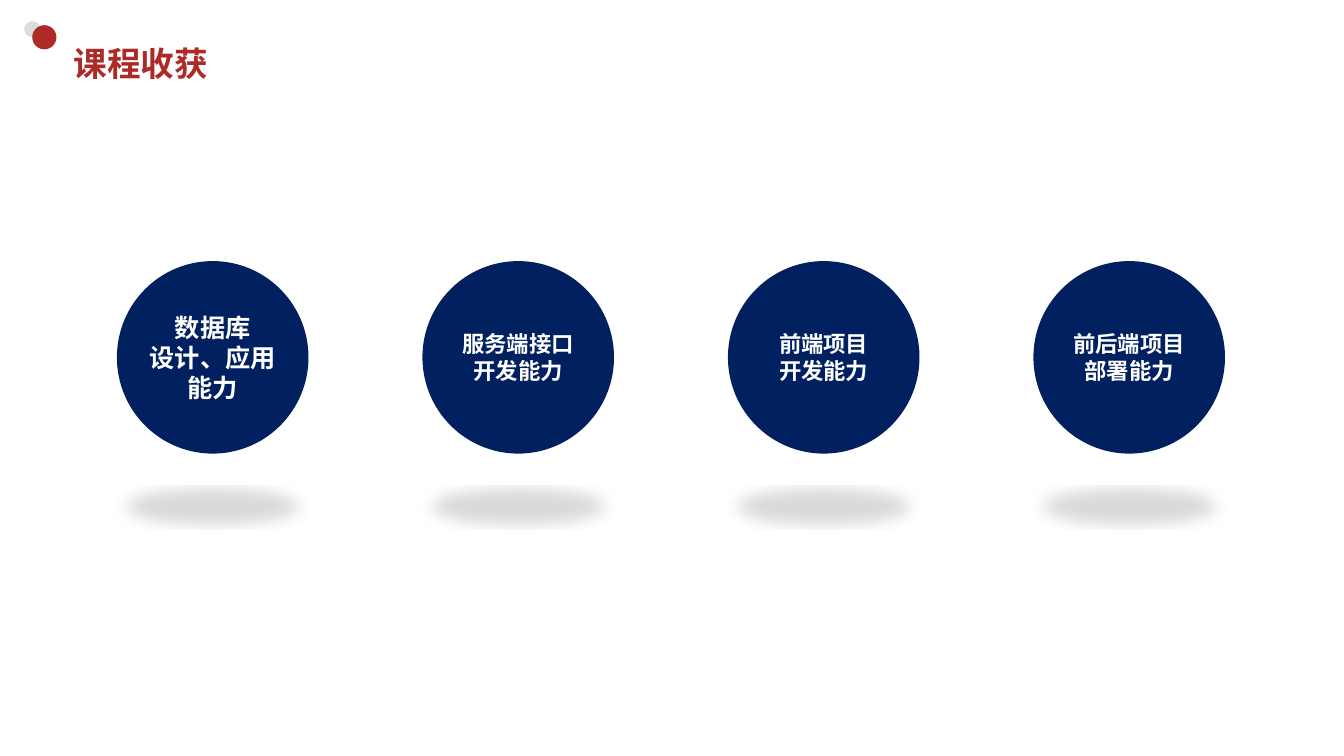
from dataclasses import dataclass

from lxml import etree
from pptx import Presentation
from pptx.dml.color import RGBColor
from pptx.enum.shapes import MSO_SHAPE
from pptx.enum.text import MSO_ANCHOR, MSO_AUTO_SIZE, PP_ALIGN
from pptx.oxml.ns import qn
from pptx.shapes.autoshape import Shape
from pptx.slide import Slide
from pptx.text.text import TextFrame
from pptx.util import Inches, Pt

OVAL = MSO_SHAPE.OVAL
MIDDLE = MSO_ANCHOR.MIDDLE
NO_FIT = MSO_AUTO_SIZE.NONE
LEFT, CENTER = PP_ALIGN.LEFT, PP_ALIGN.CENTER

SLIDE_W, SLIDE_H = 13.33, 7.5
TITLE_ONLY = 5


@dataclass(frozen=True)
class Theme:
    red: str = "AD2B26"
    gray: str = "DADDDC"
    navy: str = "002060"
    white: str = "FFFFFF"
    shadow: str = "000000"
    title_font: str = "Noto Sans Mono"
    body_font: str = "Open Sans"
    title_size: int = 24
    large_size: int = 18
    label_size: int = 16


@dataclass(frozen=True)
class Grid:
    """Columns of circles, in inches."""
    left: float = 1.16
    top: float = 2.59
    pitch: float = 3.03
    width: float = 1.9
    height: float = 1.91


@dataclass(frozen=True)
class Dot:
    left: float
    top: float
    size: float
    color: str


@dataclass(frozen=True)
class Skill:
    column: int
    lines: tuple[str, ...]
    size: int
    side_inset: float = 0.1


THEME = Theme()
GRID = Grid()
DOTS = (Dot(0.24, 0.21, 0.16, THEME.gray), Dot(0.32, 0.25, 0.24, THEME.red))
SKILLS = (
    Skill(0, ("数据库", "设计、应用能力"), THEME.large_size, 0),
    Skill(1, ("服务端接口开发能力",), THEME.label_size),
    Skill(2, ("前端项目", "开发能力"), THEME.label_size),
    Skill(3, ("前后端项目部署能力",), THEME.label_size),
)


def write(tf: TextFrame, lines: tuple[str, ...], font: str, size: int,
          color: str, align: PP_ALIGN) -> None:
    tf.word_wrap = True
    tf.auto_size = NO_FIT
    tf.vertical_anchor = MIDDLE
    for i, line in enumerate(lines):
        p = tf.paragraphs[0] if i == 0 else tf.add_paragraph()
        p.alignment = align
        r = p.add_run()
        r.text = line
        r.font.name = font
        r.font.size = Pt(size)
        r.font.bold = True
        r.font.color.rgb = RGBColor.from_string(color)
        etree.SubElement(r.font._element, qn("a:ea"), typeface=font)


def add_oval(slide: Slide, left: float, top: float, width: float,
             height: float, color: str) -> Shape:
    sp = slide.shapes.add_shape(OVAL, Inches(left), Inches(top),
                                Inches(width), Inches(height))
    sp.shadow.inherit = False
    sp.fill.solid()
    sp.fill.fore_color.rgb = RGBColor.from_string(color)
    sp.line.fill.background()
    return sp


def add_floor_shadow(sp: Shape) -> None:
    """Cast a flattened shadow below the shape."""
    effects = sp._element.spPr.find(qn("a:effectLst"))
    shadow = etree.SubElement(
        effects, qn("a:outerShdw"), blurRad=str(Pt(12)), dist=str(Pt(25)),
        dir="5400000", sx="90000", sy="-19000", algn="b", rotWithShape="0")
    color = etree.SubElement(shadow, qn("a:srgbClr"), val=THEME.shadow)
    etree.SubElement(color, qn("a:alpha"), val="15000")


def add_title(slide: Slide, text: str) -> None:
    sp = slide.shapes.title
    sp.left, sp.top = Inches(0.63), Inches(0.37)
    sp.width, sp.height = Inches(11.75), Inches(0.52)
    write(sp.text_frame, (text,), THEME.title_font, THEME.title_size,
          THEME.red, LEFT)


def add_skill(slide: Slide, skill: Skill) -> None:
    sp = add_oval(slide, GRID.left + skill.column * GRID.pitch, GRID.top,
                  GRID.width, GRID.height, THEME.navy)
    add_floor_shadow(sp)
    tf = sp.text_frame
    tf.margin_left = tf.margin_right = Inches(skill.side_inset)
    tf.margin_top = tf.margin_bottom = Inches(0.05)
    write(tf, skill.lines, THEME.body_font, skill.size, THEME.white, CENTER)


def main() -> None:
    prs = Presentation()
    prs.slide_width, prs.slide_height = Inches(SLIDE_W), Inches(SLIDE_H)
    slide = prs.slides.add_slide(prs.slide_layouts[TITLE_ONLY])

    # Heading with its two dots
    for dot in DOTS:
        add_oval(slide, dot.left, dot.top, dot.size, dot.size, dot.color)
    add_title(slide, "课程收获")

    # Row of skills
    for skill in SKILLS:
        add_skill(slide, skill)

    prs.save("out.pptx")


if __name__ == "__main__":
    main()
